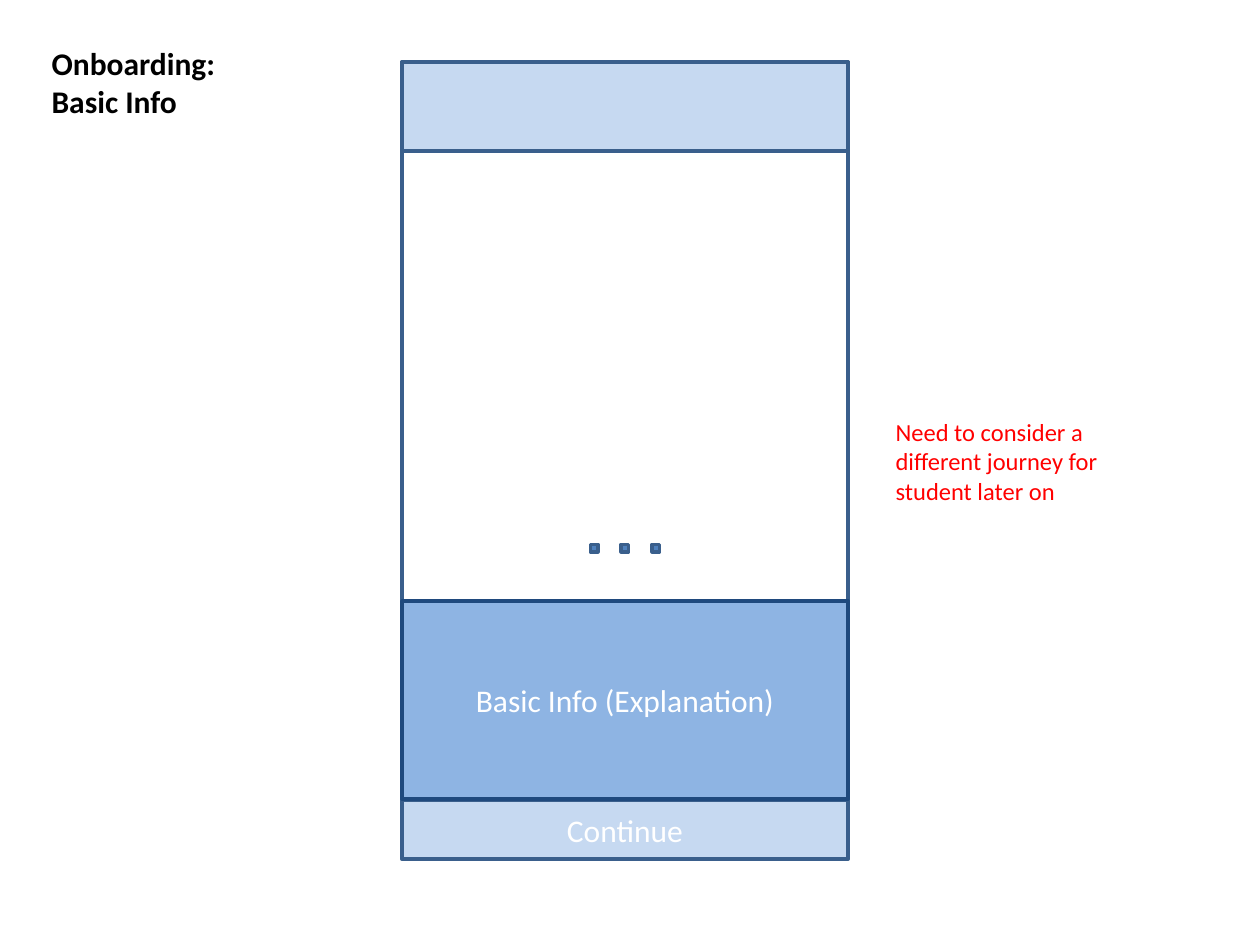
from pptx import Presentation
from pptx import util as u
from pptx.dml.color import RGBColor
from pptx.enum import shapes, text

BLACK = RGBColor(0x00, 0x00, 0x00)
WHITE = RGBColor(0xFF, 0xFF, 0xFF)
RED = RGBColor(0xFF, 0x00, 0x00)
PALE = RGBColor(0xC6, 0xD9, 0xF1)
SKY = RGBColor(0x8E, 0xB4, 0xE3)
BLUE = RGBColor(0x4F, 0x81, 0xBD)
EDGE = RGBColor(0x3A, 0x5F, 0x8C)
NAVY = RGBColor(0x1F, 0x49, 0x7D)

# Phone frame, in inches
LEFT, TOP, WIDTH = 3.19, 0.49, 3.54


def put_text(shape, words, size=18, color=WHITE, bold=False,
             align=text.PP_ALIGN.CENTER, anchor=text.MSO_ANCHOR.MIDDLE,
             fit=text.MSO_AUTO_SIZE.NONE):
    frame = shape.text_frame
    frame.text = words
    frame.word_wrap = True
    frame.auto_size = fit
    frame.vertical_anchor = anchor
    for para in frame.paragraphs:
        para.alignment = align
        font = para.runs[0].font
        font.name, font.size, font.bold = "Calibri", u.Pt(size), bold
        font.color.rgb = color


def add_box(slide, x, y, w, h, fill, line=EDGE):
    box = slide.shapes.add_shape(
        shapes.MSO_SHAPE.RECTANGLE,
        u.Inches(x), u.Inches(y), u.Inches(w), u.Inches(h))
    box.shadow.inherit = False
    box.fill.solid()
    box.fill.fore_color.rgb = fill
    box.line.color.rgb = line
    box.line.width = u.Pt(2)
    return box


def add_band(slide, y, h, fill, line=EDGE):
    return add_box(slide, LEFT, y, WIDTH, h, fill, line)


def add_dots(slide, count=3, size=0.06, step=0.245, y=4.32):
    start = LEFT + (WIDTH - size - (count - 1) * step) / 2
    for i in range(count):
        add_box(slide, start + i * step, y, size, size, BLUE)


def set_title(slide, words):
    title = slide.shapes.title
    title.left, title.top = u.Inches(0.31), u.Inches(0.3)
    title.width, title.height = u.Inches(2.17), u.Inches(0.71)
    put_text(title, words, color=BLACK, bold=True,
             align=text.PP_ALIGN.LEFT, anchor=text.MSO_ANCHOR.TOP,
             fit=text.MSO_AUTO_SIZE.SHAPE_TO_FIT_TEXT)


def add_note(slide, words):
    note = slide.shapes.add_textbox(
        u.Inches(7.01), u.Inches(3.26), u.Inches(2.24), u.Inches(0.81))
    put_text(note, words, size=14, color=RED,
             align=text.PP_ALIGN.LEFT, anchor=text.MSO_ANCHOR.TOP,
             fit=text.MSO_AUTO_SIZE.SHAPE_TO_FIT_TEXT)


def main():
    deck = Presentation()
    deck.slide_width, deck.slide_height = u.Inches(10), u.Inches(7.5)
    slide = deck.slides.add_slide(deck.slide_layouts[5])

    set_title(slide, "Onboarding:\nBasic Info")

    # Phone screen with its bands
    add_band(slide, TOP, 6.3, WHITE)
    put_text(add_band(slide, 6.35, 0.47, PALE), "Continue")
    put_text(add_band(slide, 4.77, 1.57, SKY, NAVY),
             "Basic Info (Explanation)")
    add_band(slide, TOP, 0.71, PALE)

    # Page dots
    add_dots(slide)

    # Side remark
    add_note(slide, "Need to consider a different journey for "
                    "student later on")

    deck.save("out.pptx")


if __name__ == "__main__":
    main()
